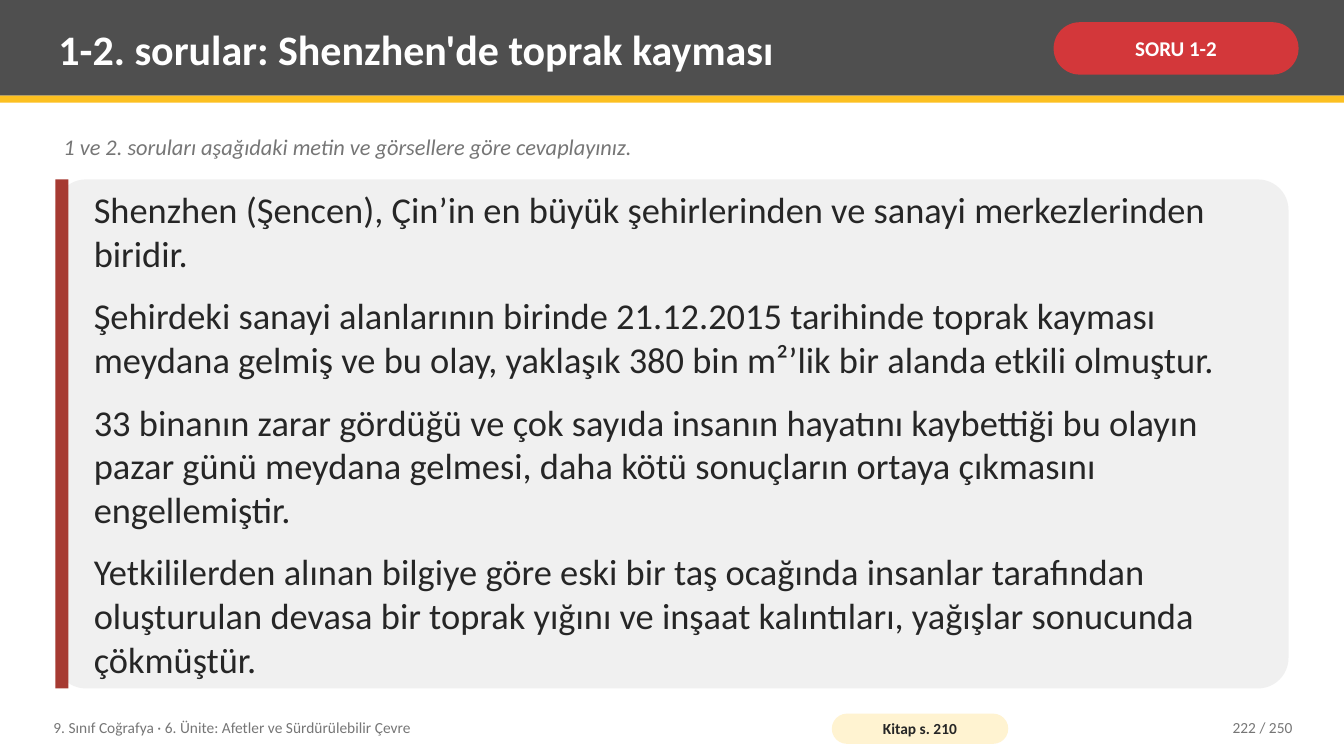
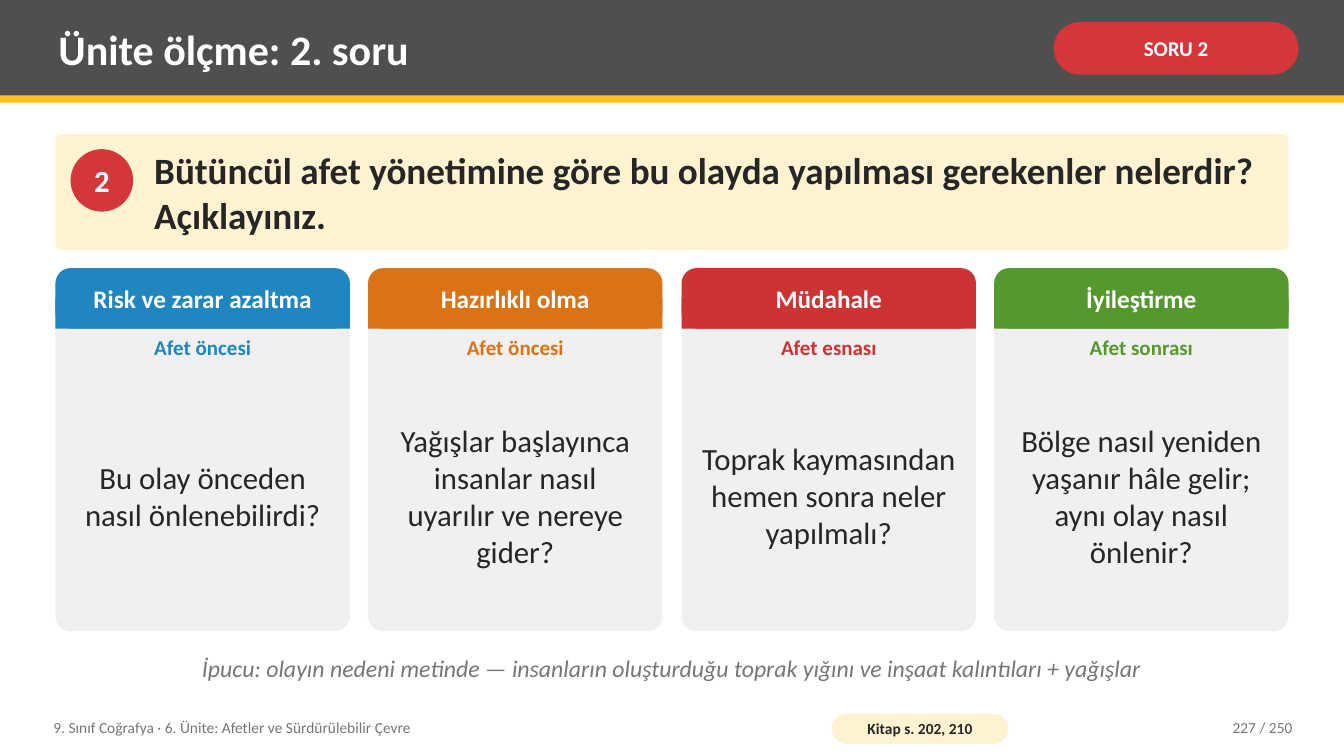
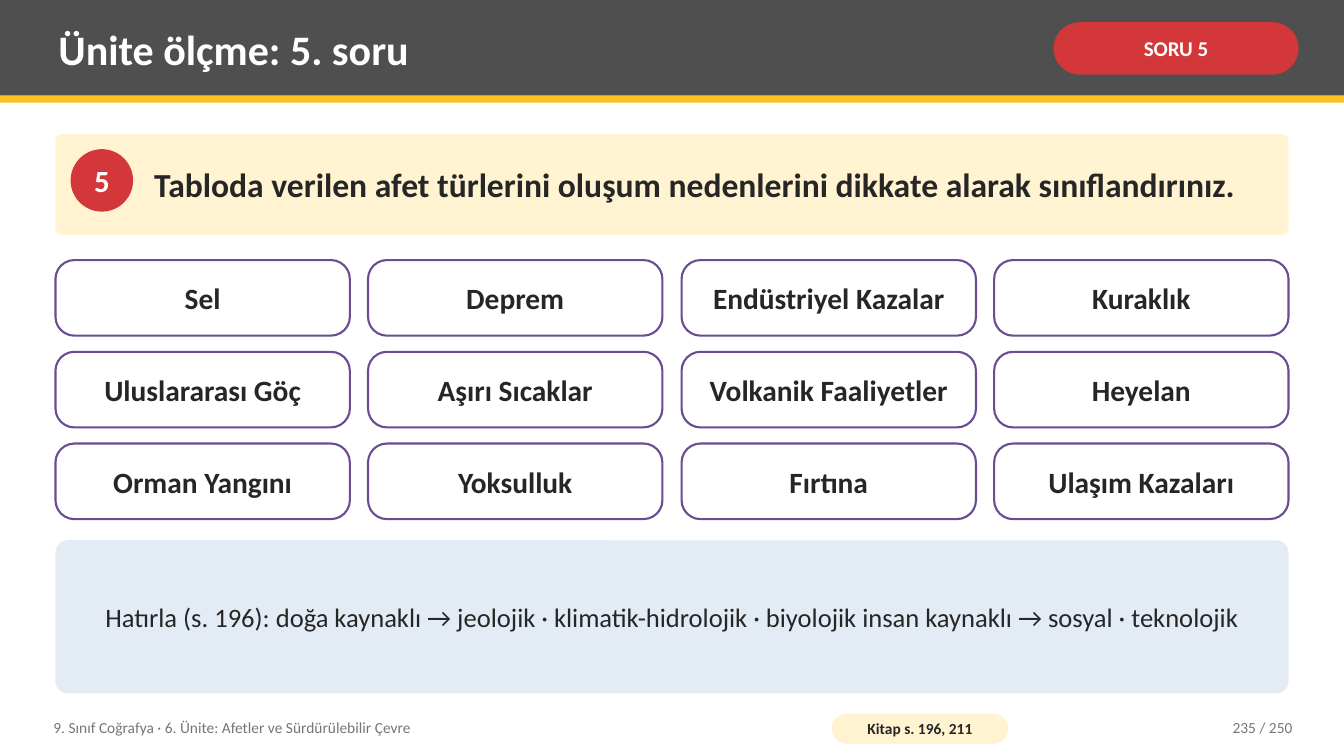
from dataclasses import dataclass
from typing import NamedTuple, Optional

from pptx import Presentation
from pptx import util as u
from pptx.dml.color import RGBColor
from pptx.enum import shapes, text

PX = 9144
FONT = "Calibri"

WHITE = RGBColor(0xFF, 0xFF, 0xFF)
INK = RGBColor(0x26, 0x26, 0x26)
MUTED = RGBColor(0x76, 0x76, 0x76)
BAND = RGBColor(0x4F, 0x4F, 0x4F)
YELLOW = RGBColor(0xFC, 0xC0, 0x21)
CREAM = RGBColor(0xFF, 0xF3, 0xD1)
BADGE_RED = RGBColor(0xD3, 0x37, 0x3A)
BRICK = RGBColor(0xA6, 0x3A, 0x32)
PANEL = RGBColor(0xF0, 0xF0, 0xF0)
PALE_BLUE = RGBColor(0xE3, 0xEC, 0xF5)
PURPLE = RGBColor(0x6A, 0x4C, 0x93)
BLUE = RGBColor(0x1F, 0x86, 0xBF)
ORANGE = RGBColor(0xD9, 0x73, 0x16)
RED = RGBColor(0xCC, 0x33, 0x33)
GREEN = RGBColor(0x55, 0x99, 0x2E)

RECT = shapes.MSO_SHAPE.RECTANGLE
ROUND = shapes.MSO_SHAPE.ROUNDED_RECTANGLE
OVAL = shapes.MSO_SHAPE.OVAL
LEFT, CENTER, RIGHT = text.PP_ALIGN.LEFT, text.PP_ALIGN.CENTER, text.PP_ALIGN.RIGHT
TOP, MIDDLE = text.MSO_ANCHOR.TOP, text.MSO_ANCHOR.MIDDLE

SLIDE_W, SLIDE_H = 1333, 750
MARGIN, CONTENT_W = 55, 1223
COLUMNS, COLUMN_W = 4, 292


class Box(NamedTuple):
    x: int
    y: int
    w: int
    h: int


@dataclass(frozen=True)
class Style:
    size: float
    color: RGBColor = INK
    bold: bool = False
    italic: bool = False
    align: text.PP_ALIGN = LEFT
    anchor: text.MSO_ANCHOR = MIDDLE
    inset: tuple[int, int] = (8, 4)
    wrap: bool = True
    after: float = 0


@dataclass(frozen=True)
class Page:
    title: str
    tag: str
    source: str
    number: int


@dataclass(frozen=True)
class Phase:
    name: str
    time: str
    question: str
    color: RGBColor


TITLE = Style(30, WHITE, bold=True)
TAG = Style(15, WHITE, bold=True, align=CENTER, inset=(5, 2))
FOOTER = Style(11, MUTED)
PAGE_NUMBER = Style(11, MUTED, align=RIGHT)
SOURCE = Style(11, bold=True, align=CENTER, inset=(4, 0))
NUMBER = Style(22, WHITE, bold=True, align=CENTER, inset=(0, 0), wrap=False)
INTRO = Style(16, MUTED, italic=True, anchor=TOP)
PASSAGE = Style(26, after=13.5)
PHASE_NAME = Style(18, WHITE, bold=True, align=CENTER)
PHASE_QUESTION = Style(22, align=CENTER)
HINT = Style(17, MUTED, italic=True, align=CENTER)
HAZARD = Style(21, bold=True, align=CENTER, inset=(14, 8))
REMINDER = Style(19, align=CENTER, inset=(25, 8))

PASSAGE_TEXT = (
    "Shenzhen (Şencen), Çin’in en büyük şehirlerinden ve sanayi merkezlerinden biridir.",
    "Şehirdeki sanayi alanlarının birinde 21.12.2015 tarihinde toprak kayması meydana "
    "gelmiş ve bu olay, yaklaşık 380 bin m²’lik bir alanda etkili olmuştur.",
    "33 binanın zarar gördüğü ve çok sayıda insanın hayatını kaybettiği bu olayın pazar "
    "günü meydana gelmesi, daha kötü sonuçların ortaya çıkmasını engellemiştir.",
    "Yetkililerden alınan bilgiye göre eski bir taş ocağında insanlar tarafından "
    "oluşturulan devasa bir toprak yığını ve inşaat kalıntıları, yağışlar sonucunda "
    "çökmüştür.",
)

PHASES = (
    Phase("Risk ve zarar azaltma", "Afet öncesi",
          "Bu olay önceden nasıl önlenebilirdi?", BLUE),
    Phase("Hazırlıklı olma", "Afet öncesi",
          "Yağışlar başlayınca insanlar nasıl uyarılır ve nereye gider?", ORANGE),
    Phase("Müdahale", "Afet esnası",
          "Toprak kaymasından hemen sonra neler yapılmalı?", RED),
    Phase("İyileştirme", "Afet sonrası",
          "Bölge nasıl yeniden yaşanır hâle gelir; aynı olay nasıl önlenir?", GREEN),
)

HAZARDS = (
    "Sel", "Deprem", "Endüstriyel Kazalar", "Kuraklık",
    "Uluslararası Göç", "Aşırı Sıcaklar", "Volkanik Faaliyetler", "Heyelan",
    "Orman Yangını", "Yoksulluk", "Fırtına", "Ulaşım Kazaları",
)


def px(n: int) -> u.Emu:
    return u.Emu(n * PX)


def emu(box: Box) -> tuple[u.Emu, ...]:
    return tuple(px(n) for n in box)


def column_x(column: int) -> int:
    return MARGIN + round(column * (CONTENT_W - COLUMN_W) / (COLUMNS - 1))


def write(tf, style: Style, *lines: str) -> None:
    tf.auto_size = text.MSO_AUTO_SIZE.NONE
    tf.word_wrap = style.wrap
    tf.vertical_anchor = style.anchor
    tf.margin_left = tf.margin_right = px(style.inset[0])
    tf.margin_top = tf.margin_bottom = px(style.inset[1])
    for i, line in enumerate(lines):
        p = tf.add_paragraph() if i else tf.paragraphs[0]
        p.alignment = style.align
        if style.after and i < len(lines) - 1:
            p.space_after = u.Pt(style.after)
        r = p.add_run()
        r.text = line
        r.font.name = FONT
        r.font.size = u.Pt(style.size)
        r.font.bold = style.bold
        r.font.italic = style.italic
        r.font.color.rgb = style.color


def add_text(s, box: Box, style: Style, *lines: str) -> None:
    write(s.shapes.add_textbox(*emu(box)).text_frame, style, *lines)


def add_shape(s, kind: shapes.MSO_SHAPE, box: Box, fill: RGBColor,
              radius: Optional[float] = None, line: Optional[RGBColor] = None):
    sp = s.shapes.add_shape(kind, *emu(box))
    sp.shadow.inherit = False
    sp.fill.solid()
    sp.fill.fore_color.rgb = fill
    if radius is not None:
        sp.adjustments[0] = radius
    if line is None:
        sp.line.fill.background()
    else:
        sp.line.color.rgb = line
        sp.line.width = u.Pt(1.5)
    return sp


def add_page(prs, page: Page):
    s = prs.slides.add_slide(prs.slide_layouts[5])
    title = s.shapes.title
    band = add_shape(s, RECT, Box(0, 0, SLIDE_W, 95), BAND)
    stripe = add_shape(s, RECT, Box(0, 95, SLIDE_W, 7), YELLOW)
    for sp in (band, stripe):
        title.element.addprevious(sp.element)
    title.left, title.top, title.width, title.height = emu(Box(50, 7, 975, 82))
    write(title.text_frame, TITLE, page.title)
    tag = add_shape(s, ROUND, Box(1045, 22, 243, 52), BADGE_RED, 0.5)
    write(tag.text_frame, TAG, page.tag)
    add_text(s, Box(45, 704, 760, 36), FOOTER,
             "9. Sınıf Coğrafya · 6. Ünite: Afetler ve Sürdürülebilir Çevre")
    source = add_shape(s, ROUND, Box(825, 708, 175, 30), CREAM, 0.5)
    write(source.text_frame, SOURCE, f"Kitap s. {page.source}")
    add_text(s, Box(1130, 704, 160, 36), PAGE_NUMBER, f"{page.number} / 250")
    return s


def add_question(s, number: int, question: str, height: int, size: float) -> None:
    add_shape(s, ROUND, Box(MARGIN, 133, CONTENT_W, height), CREAM, 0.06)
    badge = add_shape(s, OVAL, Box(70, 148, 62, 62), BADGE_RED)
    write(badge.text_frame, NUMBER, str(number))
    add_text(s, Box(145, 141, 1123, height - 16), Style(size, bold=True), question)


def add_phase(s, x: int, phase: Phase) -> None:
    y = 266
    add_shape(s, ROUND, Box(x, y, COLUMN_W, 360), PANEL, 0.05)
    add_shape(s, ROUND, Box(x, y, COLUMN_W, 60), phase.color, 0.25)
    add_shape(s, RECT, Box(x, y + 30, COLUMN_W, 30), phase.color)
    add_text(s, Box(x + 10, y, COLUMN_W - 20, 60), PHASE_NAME, phase.name)
    add_text(s, Box(x + 10, y + 62, COLUMN_W - 20, 36),
             Style(15, phase.color, bold=True, align=CENTER, anchor=TOP), phase.time)
    add_text(s, Box(x + 12, y + 98, COLUMN_W - 24, 255), PHASE_QUESTION, phase.question)


def build_passage(prs) -> None:
    s = add_page(prs, Page("1-2. sorular: Shenzhen'de toprak kayması", "SORU 1-2", "210", 222))
    add_text(s, Box(MARGIN, 128, CONTENT_W, 40), INTRO,
             "1 ve 2. soruları aşağıdaki metin ve görsellere göre cevaplayınız.")
    add_shape(s, ROUND, Box(MARGIN, 178, CONTENT_W, 505), PANEL, 0.06)
    add_shape(s, RECT, Box(MARGIN, 178, 13, 505), BRICK)
    add_text(s, Box(85, 178, 1178, 505), PASSAGE, *PASSAGE_TEXT)


def build_phases(prs) -> None:
    s = add_page(prs, Page("Ünite ölçme: 2. soru", "SORU 2", "202, 210", 227))
    add_question(s, 2, "Bütüncül afet yönetimine göre bu olayda yapılması gerekenler "
                 "nelerdir? Açıklayınız.", 115, 26.5)
    for i, phase in enumerate(PHASES):
        add_phase(s, column_x(i), phase)
    add_text(s, Box(MARGIN, 638, CONTENT_W, 50), HINT,
             "İpucu: olayın nedeni metinde — insanların oluşturduğu toprak yığını ve "
             "inşaat kalıntıları + yağışlar")


def build_hazards(prs) -> None:
    s = add_page(prs, Page("Ünite ölçme: 5. soru", "SORU 5", "196, 211", 235))
    add_question(s, 5, "Tabloda verilen afet türlerini oluşum nedenlerini dikkate alarak "
                 "sınıflandırınız.", 100, 24)
    for i, hazard in enumerate(HAZARDS):
        row, column = divmod(i, COLUMNS)
        box = Box(column_x(column), 258 + 91 * row, COLUMN_W, 75)
        write(add_shape(s, ROUND, box, WHITE, 0.25, PURPLE).text_frame, HAZARD, hazard)
    reminder = add_shape(s, ROUND, Box(MARGIN, 536, CONTENT_W, 152), PALE_BLUE, 0.08)
    write(reminder.text_frame, REMINDER,
          "Hatırla (s. 196): doğa kaynaklı → jeolojik · klimatik-hidrolojik · biyolojik"
          " insan kaynaklı → sosyal · teknolojik")


def main() -> None:
    prs = Presentation()
    prs.slide_width, prs.slide_height = px(SLIDE_W), px(SLIDE_H)
    build_passage(prs)
    build_phases(prs)
    build_hazards(prs)
    prs.save("out.pptx")


if __name__ == "__main__":
    main()
